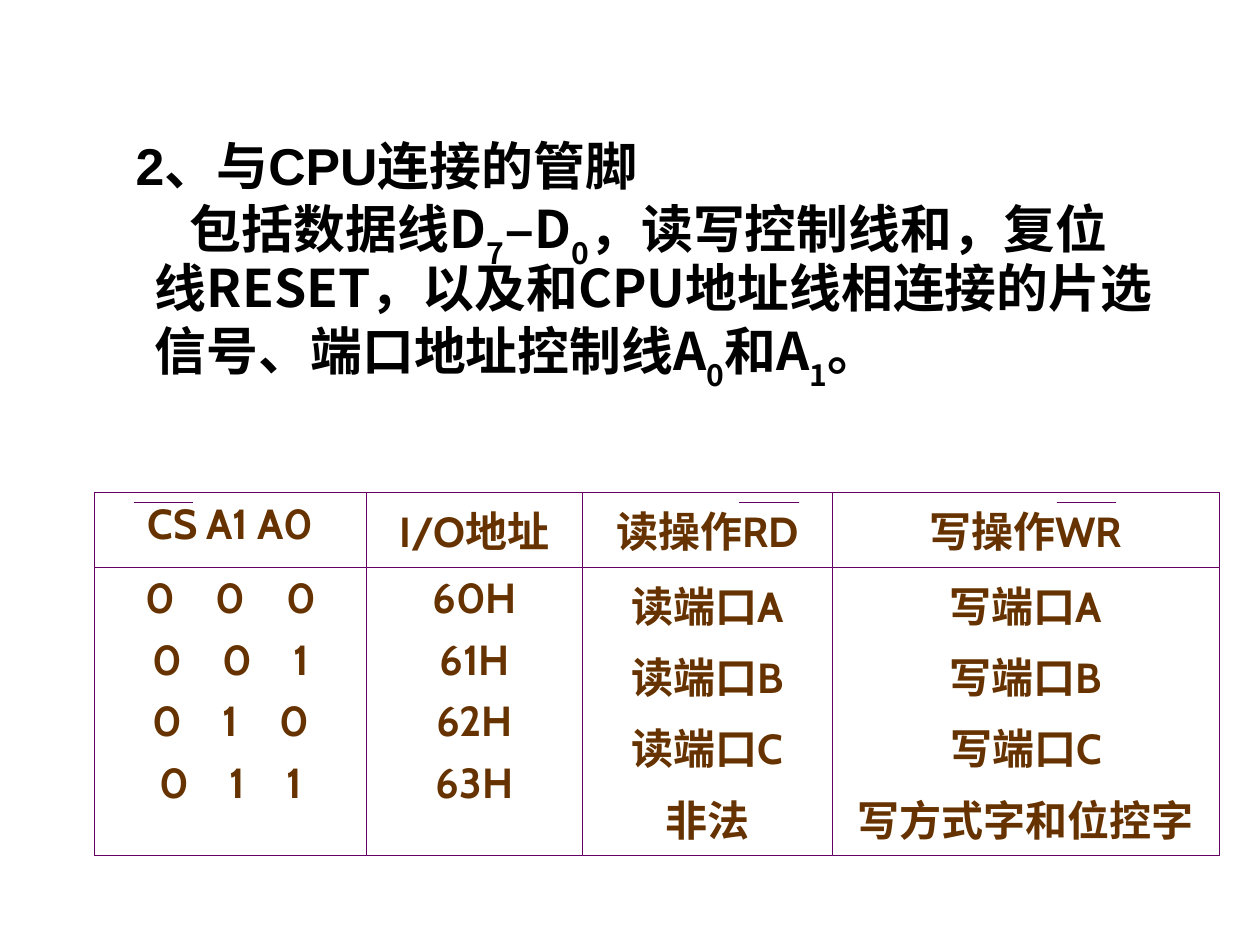
from lxml.etree import SubElement
from pptx import Presentation
from pptx.dml.color import RGBColor
from pptx.enum.shapes import MSO_CONNECTOR
from pptx.enum.text import PP_ALIGN
from pptx.oxml.ns import qn
from pptx.util import Pt

BLACK = RGBColor(0x00, 0x00, 0x00)
BROWN = RGBColor(0x66, 0x33, 0x00)
PURPLE = RGBColor(0x66, 0x00, 0x66)
WHITE = RGBColor(0xFF, 0xFF, 0xFF)

CJK_FONT = "Noto Sans CJK SC"
BODY_FORMAT = {"size": Pt(29.6), "bold": True}
TABLE_FORMAT = {"size": Pt(24), "bold": True, "name": "Cabin"}


def add_span(para, text, color, font_format, **run_attributes):
    """Add a run; run_attributes go straight onto its a:rPr element."""
    span = para.add_run()
    span.text = text
    for name, value in font_format.items():
        setattr(span.font, name, value)
    span.font.color.rgb = color
    properties = span._r.get_or_add_rPr()
    SubElement(properties, qn("a:ea")).set("typeface", CJK_FONT)
    for name, value in run_attributes.items():
        properties.set(name, value)


def add_border(cell, color, width):
    properties = cell._tc.get_or_add_tcPr()
    for side in ("a:lnL", "a:lnR", "a:lnT", "a:lnB"):
        line = SubElement(properties, qn(side))
        line.set("w", str(width))
        fill = SubElement(line, qn("a:solidFill"))
        SubElement(fill, qn("a:srgbClr")).set("val", str(color))


deck = Presentation()
deck.slide_width, deck.slide_height = Pt(720), Pt(540)
page = deck.slides.add_slide(deck.slide_layouts[6])

# Heading and description
box = page.shapes.add_textbox(Pt(54), Pt(77), Pt(612), Pt(170))
frame = box.text_frame
frame.word_wrap = True

heading = frame.paragraphs[0]
description = frame.add_paragraph()
for para, margin, indent in ((heading, 16.5, 0), (description, 27.5, 20)):
    para.line_spacing = 0.9
    properties = para._p.get_or_add_pPr()
    properties.set("marL", str(Pt(margin)))
    properties.set("indent", str(Pt(indent)))

add_span(heading, "2、与CPU连接的管脚", BLACK, BODY_FORMAT | {"name": "Arial"})

SUBSCRIPT = {"baseline": "-30000"}
description_spans = [
    ("包括数据线D", CJK_FONT, {}),
    ("7", CJK_FONT, SUBSCRIPT),
    ("—", "Cabin", {}),
    ("D", CJK_FONT, {}),
    ("0", CJK_FONT, SUBSCRIPT),
    ("，读写控制线和，复位线RESET，以及和CPU地址线相连接的片选信号、端口地址控制线A",
     CJK_FONT, {}),
    ("0", CJK_FONT, SUBSCRIPT),
    ("和A", CJK_FONT, {}),
    ("1", CJK_FONT, SUBSCRIPT),
    ("。", CJK_FONT, {}),
]
for text, font_name, attributes in description_spans:
    add_span(description, text, BLACK, BODY_FORMAT | {"name": font_name}, **attributes)

# Port address table
column_widths = [155.5, 123.5, 142.5, 221.5]
row_heights = [42.5, 165]
headers = ["CS A1 A0", "I/O地址", "读操作RD", "写操作WR"]
columns = [
    ["0 0 0", "0 0 1", "0 1 0", "0 1 1"],
    ["60H", "61H", "62H", "63H"],
    ["读端口A", "读端口B", "读端口C", "非法"],
    ["写端口A", "写端口B", "写端口C", "写方式字和位控字"],
]
table = page.shapes.add_table(
    2, 4, Pt(54), Pt(281.5), Pt(sum(column_widths)), Pt(sum(row_heights))
).table
for column, width in zip(table.columns, column_widths):
    column.width = Pt(width)
for row, height in zip(table.rows, row_heights):
    row.height = Pt(height)

for row_index, row_texts in enumerate([[[header] for header in headers], columns]):
    for column_index, lines in enumerate(row_texts):
        cell = table.cell(row_index, column_index)
        add_border(cell, PURPLE, Pt(0.45))
        cell.fill.solid()
        cell.fill.fore_color.rgb = WHITE
        for line_index, text in enumerate(lines):
            if line_index == 0:
                para = cell.text_frame.paragraphs[0]
            else:
                para = cell.text_frame.add_paragraph()
                para.space_before = Pt(6)
            para.alignment = PP_ALIGN.CENTER
            if row_index == 1 and column_index == 0:
                # Address bits: widen each space by 18 pt of letter spacing
                for bit_index, bit in enumerate(text.split()):
                    if bit_index:
                        add_span(para, " ", BROWN, TABLE_FORMAT, spc="1800")
                    add_span(para, bit, BROWN, TABLE_FORMAT)
            else:
                add_span(para, text, BROWN, TABLE_FORMAT)

# Overbars of the active-low signals CS, RD and WR
for left in (76.5, 422.5, 604):
    overbar = page.shapes.add_connector(
        MSO_CONNECTOR.STRAIGHT, Pt(left), Pt(287), Pt(left + 34), Pt(287)
    )
    overbar.line.color.rgb = PURPLE
    overbar.line.width = Pt(0.75)
    SubElement(overbar._element.spPr, qn("a:effectLst"))

deck.save("out.pptx")
